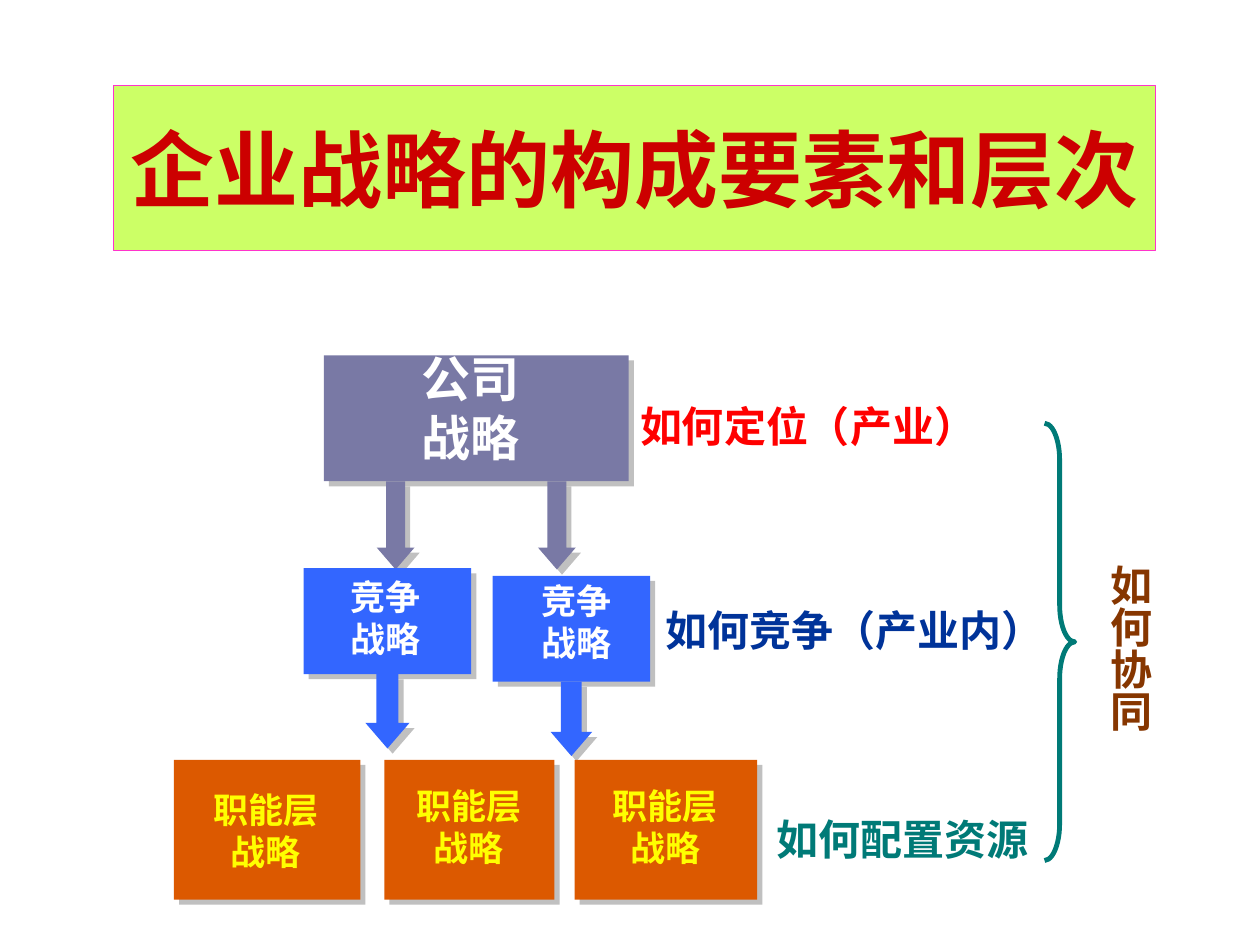
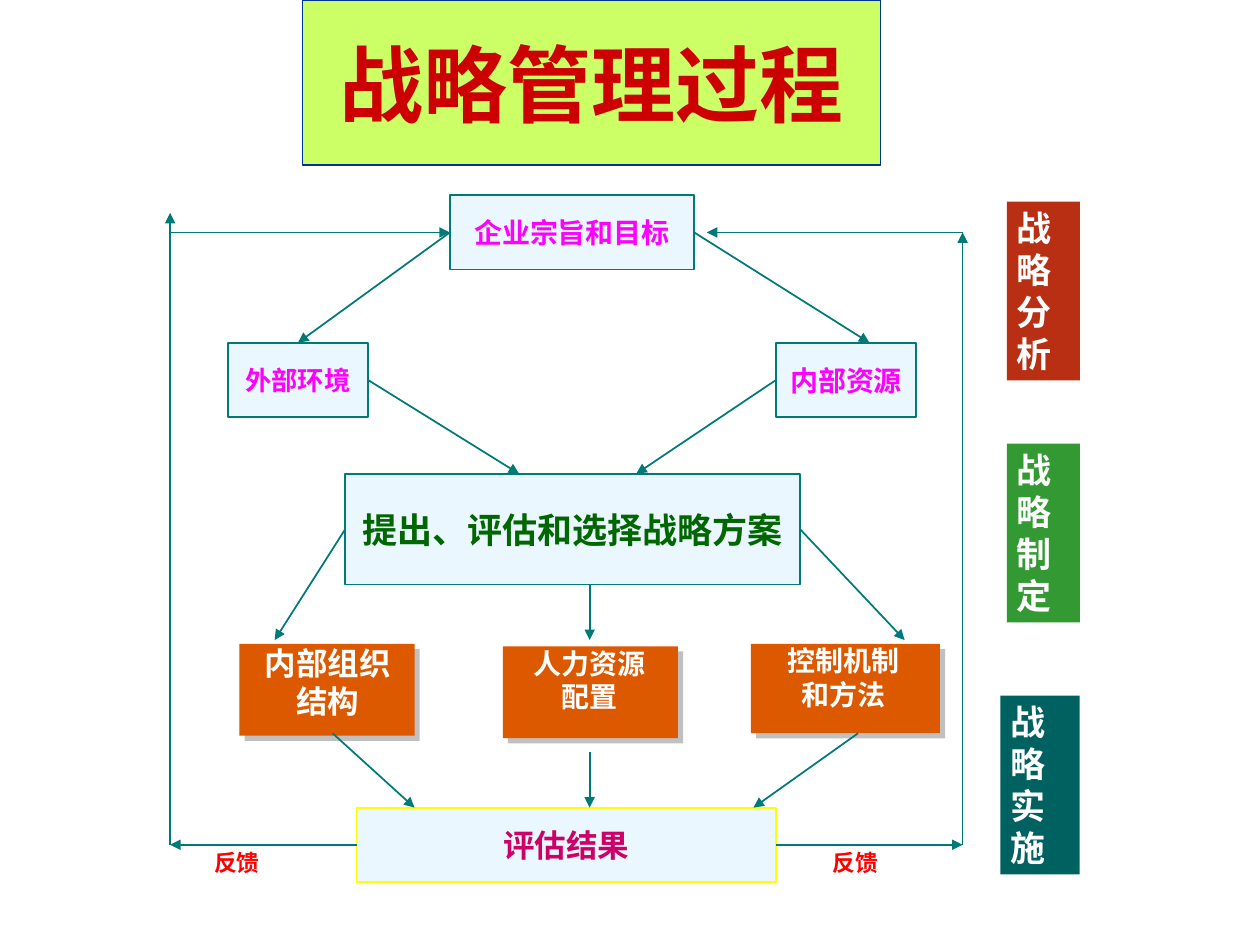
from dataclasses import dataclass
from enum import IntEnum

from lxml.etree import SubElement
from pptx import Presentation
from pptx.dml.color import RGBColor
from pptx.enum.shapes import MSO_CONNECTOR as Link, MSO_SHAPE as Preset
from pptx.enum.text import MSO_ANCHOR as Anchor, MSO_AUTO_SIZE as AutoSize, PP_ALIGN as Align
from pptx.oxml.ns import qn
from pptx.util import Inches, Pt

COLUMNS, ROWS = 100, 75
TITLE_ONLY = 5


class Side(IntEnum):
    TOP = 0
    LEFT = 1
    BOTTOM = 2
    RIGHT = 3


@dataclass(frozen=True)
class Theme:
    latin: str = "Arial"
    cjk: str = "Noto Sans CJK SC"

    title_fill: str = "CCFF66"
    title_text: str = "CC0000"
    pink: str = "FF33CC"
    navy: str = "003399"
    teal: str = "007A77"
    deep_teal: str = "006260"
    slate: str = "7979A5"
    blue: str = "3366FF"
    orange: str = "DC5900"
    brick: str = "B92F13"
    green: str = "339933"
    dark_green: str = "006600"
    brown: str = "863600"
    red: str = "FF0000"
    magenta: str = "FF00FF"
    crimson: str = "CC0066"
    yellow: str = "FFFF00"
    white: str = "FFFFFF"
    pale: str = "EBF7FF"
    shadow: str = "C0C0C0"

    title: float = 48
    company: float = 28
    heading: float = 24
    level: float = 20
    emphasis: float = 18
    body: float = 16
    compact: float = 15
    small: float = 13

    title_line: float = 0.75
    thin: float = 1
    brace: float = 2.75
    leading: float = 1.2
    snug: tuple = (0.06, 0.03)
    roomy: tuple = (0.08, 0.04)


class Deck:
    """Holds the theme and the current slide; boxes are (column, row, columns, rows)."""

    def __init__(self, theme):
        self.theme = theme
        self.show = Presentation()
        self.show.slide_width, self.show.slide_height = Inches(10), Inches(7.5)
        self.slide = None

    def place(self, *lengths):
        """Turn alternating columns and rows into slide lengths."""
        units = (self.show.slide_width / COLUMNS, self.show.slide_height / ROWS)
        return [round(length * units[i % 2]) for i, length in enumerate(lengths)]

    def paint(self, shape, fill=None, line=None, width=None):
        if fill:
            shape.fill.solid()
            shape.fill.fore_color.rgb = RGBColor.from_string(fill)
        else:
            shape.fill.background()
        if line:
            shape.line.color.rgb = RGBColor.from_string(line)
            shape.line.width = Pt(width or self.theme.thin)
        else:
            shape.line.fill.background()

    def letter(self, shape, text, size, color, align=Align.LEFT, anchor=Anchor.TOP,
               margins=None, latin=None, stacked=False):
        """Put formatted text into a shape."""
        frame = shape.text_frame
        frame.text = text
        frame.auto_size = AutoSize.NONE
        frame.word_wrap = align != Align.CENTER
        frame.vertical_anchor = anchor
        if margins:
            frame.margin_left = frame.margin_right = Inches(margins[0])
            frame.margin_top = frame.margin_bottom = Inches(margins[1])
        for paragraph in frame.paragraphs:
            paragraph.alignment = align
            if stacked or "\n" in text:
                paragraph.line_spacing = Pt(size * self.theme.leading)
            for run in paragraph.runs:
                run.font.name = latin or self.theme.latin
                run.font.size = Pt(size)
                run.font.bold = True
                run.font.color.rgb = RGBColor.from_string(color)
                east_asian = SubElement(run._r.get_or_add_rPr(), qn("a:ea"))
                east_asian.set("typeface", self.theme.cjk)

    def start(self, title, box, line):
        """Add a slide with its framed title."""
        theme = self.theme
        self.slide = self.show.slides.add_slide(self.show.slide_layouts[TITLE_ONLY])
        heading = self.slide.shapes.title
        heading.left, heading.top, heading.width, heading.height = self.place(*box)
        self.paint(heading, theme.title_fill, line, theme.title_line)
        self.letter(heading, title, theme.title, theme.title_text, Align.CENTER,
                    Anchor.MIDDLE, theme.snug, theme.cjk)

    def shape(self, preset, box, fill=None, line=None, width=None, adjust=()):
        shape = self.slide.shapes.add_shape(preset, *self.place(*box))
        shape.shadow.inherit = False
        self.paint(shape, fill, line, width)
        for i, value in enumerate(adjust):
            shape.adjustments[i] = value
        return shape

    def raised(self, preset, box, fill, adjust=()):
        """Add a shape with a hard grey shadow to the lower right."""
        shape = self.shape(preset, box, fill, adjust=adjust)
        effects = shape._element.spPr.find(qn("a:effectLst"))
        cast = SubElement(effects, qn("a:outerShdw"), blurRad="0", dist=str(Pt(4.2)),
                          dir="2700000", algn="ctr", rotWithShape="0")
        SubElement(cast, qn("a:srgbClr"), val=self.theme.shadow)

    def down_arrow(self, box, fill):
        self.raised(Preset.DOWN_ARROW, box, fill, (0.5, 0.58))

    def text(self, text, box, size, color, align=Align.LEFT, margins=None):
        label = self.slide.shapes.add_textbox(*self.place(*box))
        self.letter(label, text, size, color, align, margins=margins or self.theme.snug)

    def vertical_text(self, text, box, size, color):
        label = self.slide.shapes.add_textbox(*self.place(*box))
        self.letter(label, text, size, color)
        label.text_frame._txBody.bodyPr.set("vert", "eaVert")

    def node(self, text, box, size, color, line=None):
        """Add a pale outlined step of the process."""
        node = self.shape(Preset.RECTANGLE, box, self.theme.pale, line or self.theme.teal)
        self.letter(node, text, size, color, Align.CENTER, Anchor.MIDDLE, self.theme.roomy)
        return node

    def phase(self, text, box, fill):
        """Add a narrow band whose characters run downwards."""
        band = self.shape(Preset.RECTANGLE, box, fill)
        self.letter(band, text, self.theme.level, self.theme.white,
                    margins=self.theme.roomy, stacked=True)

    def arrow(self, start, end):
        """Each end is a (column, row) point or a (node, Side) joint."""
        joined = [isinstance(tip[1], Side) for tip in (start, end)]
        points = [(0, 0) if joint else tip for tip, joint in zip((start, end), joined)]
        arrow = self.slide.shapes.add_connector(
            Link.STRAIGHT, *self.place(*points[0], *points[1]))
        if joined[0]:
            arrow.begin_connect(*start)
        if joined[1]:
            arrow.end_connect(*end)
        arrow.line.color.rgb = RGBColor.from_string(self.theme.teal)
        arrow.line.width = Pt(self.theme.thin)
        SubElement(arrow.line._get_or_add_ln(), qn("a:tailEnd"), type="triangle")
        SubElement(arrow._element.spPr, qn("a:effectLst"))


def build_levels(deck):
    theme = deck.theme
    deck.start("企业战略的构成要素和层次", (9, 6.8, 82.7, 13.1), theme.pink)

    deck.raised(Preset.RECTANGLE, (25.7, 28.2, 24.2, 10), theme.slate)
    for column in (29.9, 42.7):
        deck.down_arrow((column, 38.2, 3, 7), theme.slate)
    deck.text("公司\n战略", (21.6, 27.4, 31.5, 10), theme.company, theme.white, Align.CENTER)

    competition = [
        ((24.1, 45.1, 13.3, 8.4), (29, 53.5, 3.5, 5.9), (27.2, 45.4, 6.9, 7.4)),
        ((39.1, 45.7, 12.5, 8.4), (43.7, 54.1, 3.3, 5.9), (42.4, 45.7, 10, 7.3)),
    ]
    for block, arrow, caption in competition:
        deck.raised(Preset.RECTANGLE, block, theme.blue)
        deck.down_arrow(arrow, theme.blue)
        deck.text("竞争\n战略", caption, theme.level, theme.white)

    functions = [(13.8, 14.8, 16.3, 62.3), (30.5, 13.5, 32.4, 62), (45.6, 14.5, 48, 62)]
    for column, columns, caption_column, caption_row in functions:
        deck.raised(Preset.RECTANGLE, (column, 60.3, columns, 11.1), theme.orange)
        deck.text("职能层\n战略", (caption_column, caption_row, 9.6, 7.4),
                  theme.level, theme.yellow, Align.CENTER)

    questions = [
        ("如何定位（产业）", (50.2, 31.5, 31.4, 4.6), theme.red),
        ("如何竞争（产业内）", (52.2, 47.7, 39.7, 4.6), theme.navy),
        ("如何配置资源", (61, 64.3, 25, 4.6), theme.teal),
    ]
    for question, box, color in questions:
        deck.text(question, box, theme.heading, color)
    deck.shape(Preset.RIGHT_BRACE, (82.9, 33.6, 2.4, 34.7), line=theme.teal,
               width=theme.brace, adjust=(1.22, 0.5))
    deck.vertical_text("如何协同", (86.2, 43.8, 6, 18.1), theme.heading, theme.brown)


def build_process(deck):
    theme = deck.theme
    deck.start("战略管理过程", (24, 0, 45.9, 13.1), theme.navy)

    measures = [
        ("内部组织\n结构", (19, 51.1, 13.9, 7.3), (20.4, 50.8, 11.2, 6.6), theme.emphasis),
        ("人力资源\n配置", (39.9, 51.3, 13.9, 7.3), (41.7, 51, 10.2, 6), theme.body),
        ("控制机制\n和方法", (59.6, 51.1, 15, 7.1), (61.9, 50.8, 10.1, 6), theme.body),
    ]
    for measure, block, caption, size in measures:
        deck.raised(Preset.RECTANGLE, block, theme.orange)
        deck.text(measure, caption, size, theme.white, Align.CENTER)

    goals = deck.node("企业宗旨和目标", (35.7, 15.5, 19.4, 5.9), theme.body, theme.magenta)
    environment = deck.node("外部环境", (18.1, 27.2, 11.1, 5.9), theme.compact, theme.magenta)
    resources = deck.node("内部资源", (61.6, 27.2, 11.1, 5.9), theme.body, theme.magenta)
    options = deck.node("提出、评估和选择战略方案", (27.4, 37.6, 36.1, 8.8),
                        theme.level, theme.dark_green)
    results = deck.node("评估结果", (28.3, 64.1, 33.3, 5.9), theme.emphasis,
                        theme.crimson, theme.yellow)

    middle, left_loop, right_loop = 46.8, 13.5, 76.4
    goals_row, results_row = 18.45, 67.05
    flows = [
        ((goals, Side.LEFT), (environment, Side.TOP)),
        ((goals, Side.RIGHT), (69, 27.2)),
        ((resources, Side.LEFT), (50.5, 37.6)),
        ((environment, Side.RIGHT), (41.2, 37.6)),
        ((options, Side.LEFT), (21.8, 50.8)),
        ((middle, 46.4), (middle, 50.8)),
        ((options, Side.RIGHT), (71.8, 50.8)),
        ((middle, 59.7), (middle, 64.1)),
        ((26.4, 58.2), (32.9, 64.1)),
        ((68.1, 58.2), (59.8, 64.1)),
        ((results, Side.RIGHT), (right_loop, results_row)),
        ((right_loop, results_row), (right_loop, goals_row)),
        ((right_loop, goals_row), (56.1, goals_row)),
        ((results, Side.LEFT), (left_loop, results_row)),
        ((left_loop, results_row), (left_loop, 16.9)),
        ((left_loop, goals_row), (goals, Side.LEFT)),
    ]
    for start, end in flows:
        deck.arrow(start, end)

    for column, columns in ((16.2, 8.3), (65.3, 16.7)):
        deck.text("反馈", (column, 67, columns, 3), theme.small, theme.red,
                  margins=theme.roomy)

    deck.phase("战\n略\n分\n析", (79.9, 16, 5.8, 14.2), theme.brick)
    deck.phase("战略制定", (79.9, 35.2, 5.8, 14.2), theme.green)
    deck.phase("战\n略\n实\n施", (79.4, 55.2, 6.3, 14.2), theme.deep_teal)


def main():
    deck = Deck(Theme())
    build_levels(deck)
    build_process(deck)
    deck.show.save("out.pptx")


if __name__ == "__main__":
    main()
